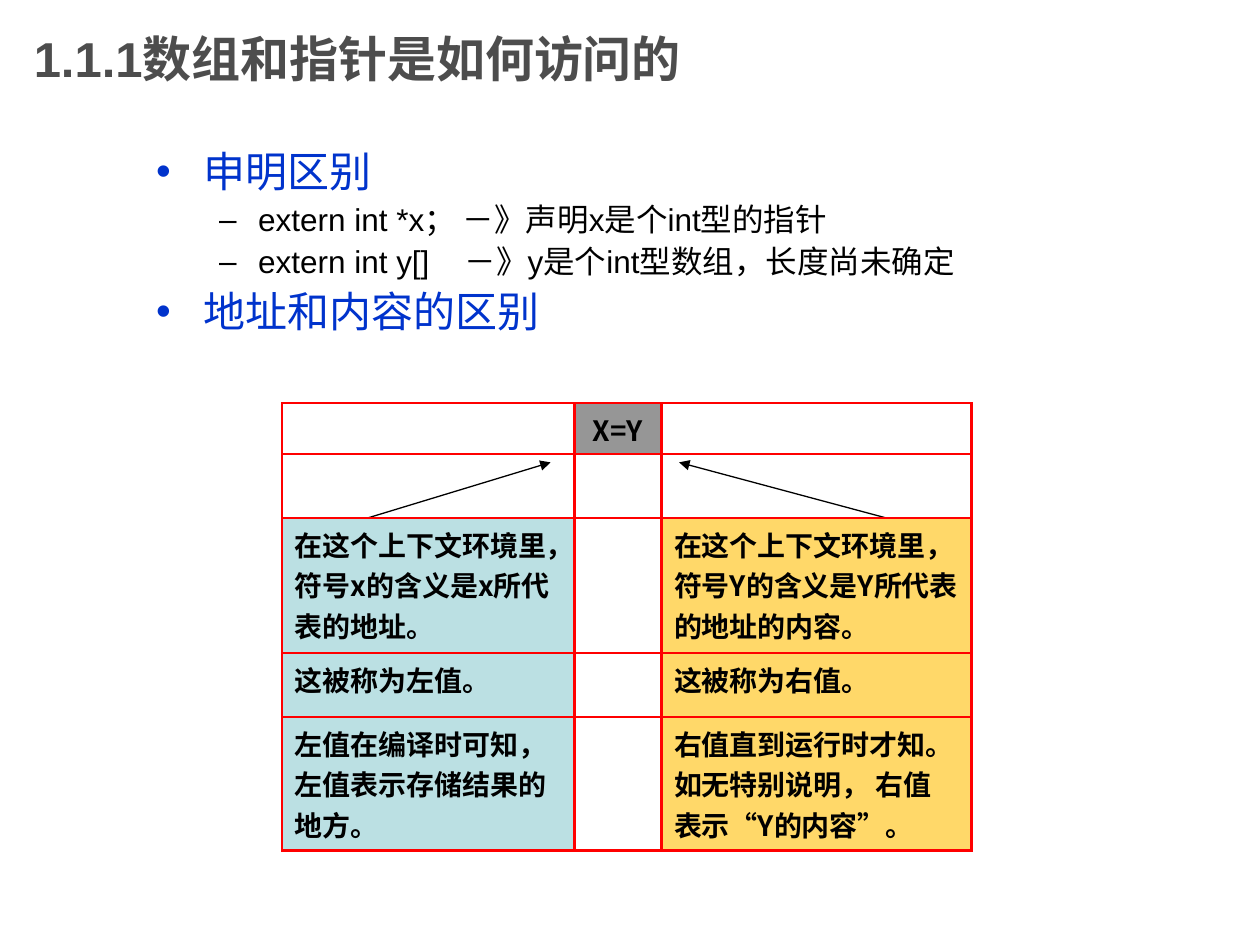
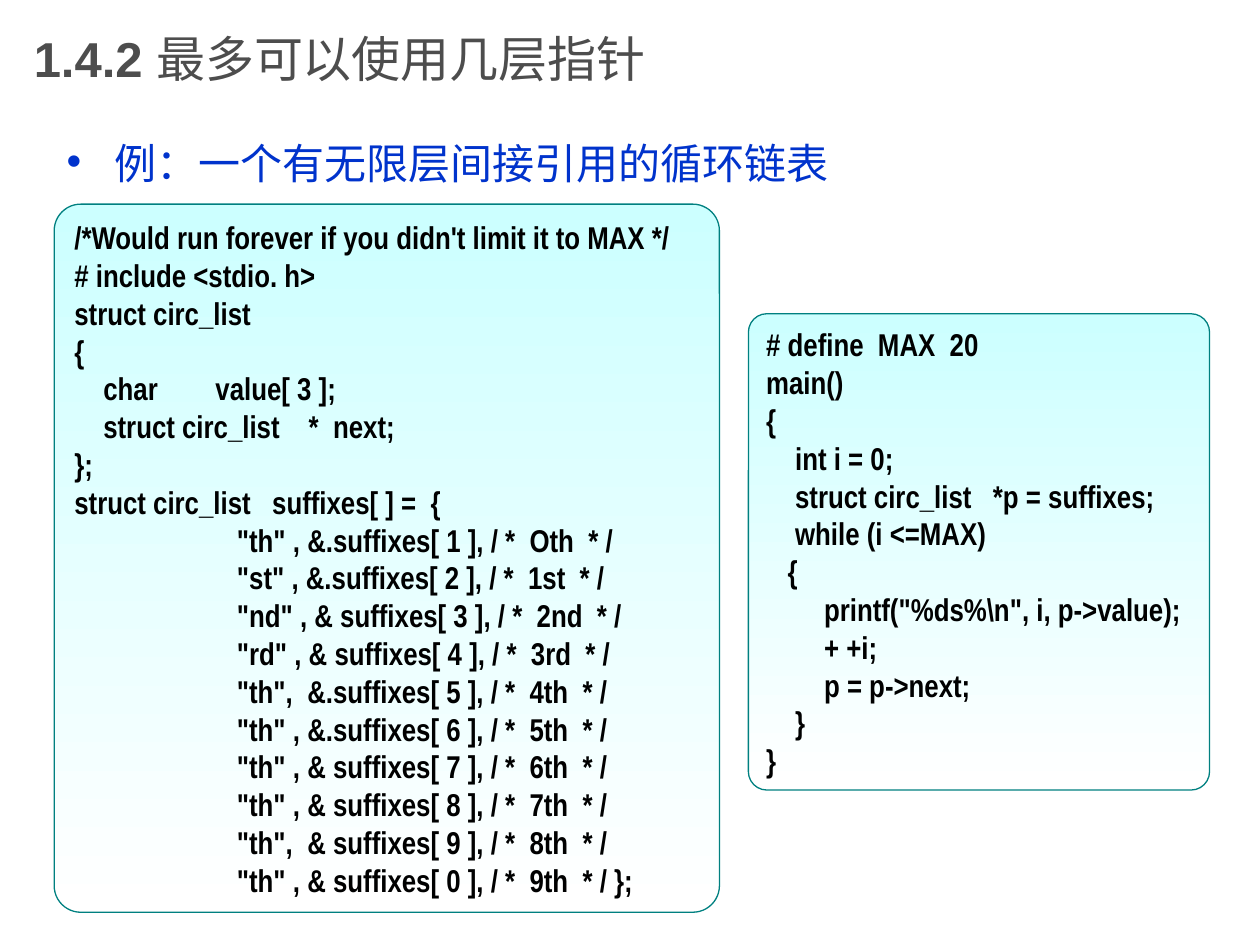
from dataclasses import dataclass

from lxml.etree import SubElement
from pptx import Presentation
from pptx.dml.color import RGBColor
from pptx.enum.shapes import MSO_CONNECTOR as Connector, MSO_SHAPE as Shape
from pptx.enum.text import MSO_ANCHOR as Anchor, PP_ALIGN as Align
from pptx.oxml.ns import qn
from pptx.util import Inches, Pt

COLUMNS, ROWS = 100, 75


@dataclass(frozen=True)
class Theme:
    title: str = "4D4D4D"
    accent: str = "0033CC"
    ink: str = "000000"
    grid: str = "FF0000"
    operator: str = "969696"
    left_value: str = "BBE0E3"
    right_value: str = "FFD869"
    code_top: str = "CCFFFF"
    code_bottom: str = "FFFFFF"
    code_edge: str = "008080"
    latin: str = "Arial"
    narrow: str = "Arial Narrow"
    cjk: str = "Noto Sans CJK SC"
    title_size: int = 28
    topic_size: int = 24
    text_size: int = 18
    cell_size: int = 16
    thin: float = 0.75
    border: float = 1.47
    corner: float = 0.04


THEME = Theme()


def rgb(code):
    return RGBColor.from_string(code)


def write(paragraph, text, size=THEME.text_size, color=THEME.ink, font=THEME.latin,
          bold=False, spacing=0):
    """Add one run; spacing is extra room after each character, in points."""
    run = paragraph.add_run()
    run.text = text
    run.font.size, run.font.bold, run.font.name = Pt(size), bold, font
    run.font.color.rgb = rgb(color)
    properties = run.font._element
    SubElement(properties, qn("a:ea"), typeface=THEME.cjk)
    if spacing:
        properties.set("spc", str(spacing * 100))


def paragraphs(frame, count):
    """Yield the frame's first paragraph, then new ones, count in all."""
    for index in range(count):
        yield frame.add_paragraph() if index else frame.paragraphs[0]


class Deck:
    def __init__(self, theme):
        self.theme = theme
        self.show = Presentation()
        self.show.slide_width, self.show.slide_height = Inches(10), Inches(7.5)
        self.slide = None

    def x(self, columns):
        return round(self.show.slide_width * columns / COLUMNS)

    def y(self, rows):
        return round(self.show.slide_height * rows / ROWS)

    def box(self, left, top, width, height):
        return self.x(left), self.y(top), self.x(width), self.y(height)

    def text_frame(self, *area):
        frame = self.slide.shapes.add_textbox(*self.box(*area)).text_frame
        frame.word_wrap = True
        return frame

    def new_slide(self, number, heading, bold_heading):
        self.slide = self.show.slides.add_slide(self.show.slide_layouts[6])
        frame = self.text_frame(1.7, 0, 75, 9.2)
        frame.vertical_anchor = Anchor.MIDDLE
        for part, bold in ((number, True), (heading, bold_heading)):
            write(frame.paragraphs[0], part, self.theme.title_size,
                  self.theme.title, bold=bold)

    def outline(self, area, items, line_spacing, topic_gap):
        """Items are (level, runs); a run is (text, extra spacing)."""
        theme = self.theme
        levels = (("•", 3.8, -3.8, theme.topic_size, theme.accent, topic_gap),
                  ("–", 8.1, -3.1, theme.text_size, theme.ink, 4.5))
        frame = self.text_frame(*area)
        for paragraph, (level, runs) in zip(paragraphs(frame, len(items)), items):
            mark, margin, hang, size, color, gap = levels[level]
            paragraph.line_spacing = line_spacing
            paragraph.space_before = Pt(gap)
            properties = paragraph._p.get_or_add_pPr()
            properties.set("marL", str(self.x(margin)))
            properties.set("indent", str(self.x(hang)))
            SubElement(SubElement(properties, qn("a:buClr")), qn("a:srgbClr"), val=color)
            SubElement(properties, qn("a:buFont"), typeface=theme.latin)
            SubElement(properties, qn("a:buChar"), char=mark)
            for text, spacing in runs:
                write(paragraph, text, size, color, spacing=spacing)

    def arrow(self, start, end):
        line = self.slide.shapes.add_connector(
            Connector.STRAIGHT, self.x(start[0]), self.y(start[1]),
            self.x(end[0]), self.y(end[1]))
        line.line.color.rgb = rgb(self.theme.ink)
        line.line.width = Pt(self.theme.thin)
        SubElement(line.line._get_or_add_ln(), qn("a:tailEnd"), type="triangle")
        SubElement(line._element.spPr, qn("a:effectLst"))

    def table(self, left, top, widths, heights, contents, fills):
        """Contents and fills map (row, column) to a text and a colour."""
        table = self.slide.shapes.add_table(
            len(heights), len(widths),
            *self.box(left, top, sum(widths), sum(heights))).table
        table.first_row = table.horz_banding = False
        for column, width in zip(table.columns, widths):
            column.width = self.x(width)
        for r, height in enumerate(heights):
            table.rows[r].height = self.y(height)
            for c in range(len(widths)):
                cell = table.cell(r, c)
                self.border(cell)
                if (r, c) not in contents:
                    cell.fill.background()
                    continue
                cell.fill.solid()
                cell.fill.fore_color.rgb = rgb(fills[c])
                paragraph = cell.text_frame.paragraphs[0]
                paragraph.alignment = Align.LEFT if r else Align.CENTER
                write(paragraph, contents[r, c], self.theme.cell_size,
                      font=self.theme.cjk, bold=True)

    def border(self, cell):
        properties = cell._tc.get_or_add_tcPr()
        for side in ("a:lnL", "a:lnR", "a:lnT", "a:lnB"):
            edge = SubElement(properties, qn(side), w=str(Pt(self.theme.border)))
            fill = SubElement(edge, qn("a:solidFill"))
            SubElement(fill, qn("a:srgbClr"), val=self.theme.grid)

    def code(self, area, lines):
        """Lines are (text, *tab stops), the stops in columns."""
        theme = self.theme
        panel = self.slide.shapes.add_shape(Shape.ROUNDED_RECTANGLE, *self.box(*area))
        panel.shadow.inherit = False
        panel.adjustments[0] = theme.corner
        panel.fill.gradient()
        panel.fill.gradient_angle = 270
        for stop, place, color in zip(panel.fill.gradient_stops, (0, 1),
                                      (theme.code_top, theme.code_bottom)):
            stop.position, stop.color.rgb = place, rgb(color)
        panel.line.color.rgb = rgb(theme.code_edge)
        panel.line.width = Pt(theme.thin)
        frame = panel.text_frame
        frame.word_wrap, frame.vertical_anchor = True, Anchor.TOP
        for paragraph, (text, *stops) in zip(paragraphs(frame, len(lines)), lines):
            paragraph.alignment = Align.LEFT
            if stops:
                tabs = SubElement(paragraph._p.get_or_add_pPr(), qn("a:tabLst"))
                for stop in stops:
                    SubElement(tabs, qn("a:tab"), pos=str(self.x(stop)), algn="l")
            write(paragraph, text, font=theme.narrow, bold=True)


def access_slide(deck):
    deck.new_slide("1.1.1", "数组和指针是如何访问的", bold_heading=True)
    deck.outline((11.4, 11.5, 85, 17.3), (
        (0, [("申明区别", 0)]),
        (1, [("extern int *x； －》声明x是个int型的指针", 0)]),
        (1, [("extern int y[]", 0), (" ", 15),
             ("－》y是个int型数组，长度尚未确定", 0)]),
        (0, [("地址和内容的区别", 0)]),
    ), line_spacing=0.9, topic_gap=6)
    deck.arrow((25.6, 42.2), (43.7, 36.7))
    deck.arrow((74.4, 42.2), (53.9, 36.7))
    contents = {
        (0, 1): "X=Y",
        (2, 0): "在这个上下文环境里，符号x的含义是x所代表的地址。",
        (2, 2): "在这个上下文环境里，符号Y的含义是Y所代表的地址的内容。",
        (3, 0): "这被称为左值。",
        (3, 2): "这被称为右值。",
        (4, 0): "左值在编译时可知，左值表示存储结果的地方。",
        (4, 2): "右值直到运行时才知。如无特别说明， 右值表示“Y的内容”。",
    }
    theme = deck.theme
    deck.table(22.4, 32, (23.2, 6.9, 24.6), (4, 5.1, 10.7, 5.1, 10.6), contents,
               (theme.left_value, theme.operator, theme.right_value))


def circular_list_slide(deck):
    deck.new_slide("1.4.2 ", "最多可以使用几层指针", bold_heading=False)
    deck.outline((4.3, 11.5, 90.6, 3.9),
                 ((0, [("例：一个有无限层间接引用的循环链表", 0)]),),
                 line_spacing=0.7, topic_gap=3.5)
    step, entry = 2.3, 12.9
    suffixes = (
        '"th" , &.suffixes[ 1 ], / *  Oth  * /',
        '"st" , &.suffixes[ 2 ], / *  1st  * /',
        '"nd" , & suffixes[ 3 ], / *  2nd  * /',
        '"rd" , & suffixes[ 4 ], / *  3rd  * /',
        '"th",  &.suffixes[ 5 ], / *  4th  * /',
        '"th" , &.suffixes[ 6 ], / *  5th  * /',
        '"th" , & suffixes[ 7 ], / *  6th  * /',
        '"th" , & suffixes[ 8 ], / *  7th  * /',
        '"th",  & suffixes[ 9 ], / *  8th  * /',
        '"th" , & suffixes[ 0 ], / *  9th  * / };',
    )
    deck.code((4.3, 16.2, 52.8, 56.2), (
        ("/*Would run forever if you didn't limit it to MAX */",),
        ("# include <stdio. h>",),
        ("struct circ_list",),
        ("{",),
        ("\tchar\tvalue[ 3 ];", step, 11.2),
        ("\tstruct circ_list\t*  next;", step, 18.6),
        ("};",),
        ("struct circ_list\tsuffixes[ ] =  {", 15.7),
        *(("\t" + suffix, entry) for suffix in suffixes),
    ))
    deck.code((59.4, 24.9, 36.6, 37.8), (
        ("# define  MAX  20",),
        ("main()",),
        ("{",),
        ("\tint i = 0;", step),
        ("\tstruct circ_list\t*p = suffixes;", step, 18),
        ("\twhile (i <=MAX)", step),
        ("\t{", 1.7),
        ('\tprintf("%ds%\\n", i, p->value);', 2 * step),
        ("\t+ +i;", 2 * step),
        ("\tp = p->next;", 2 * step),
        ("\t}", step),
        ("}",),
    ))


def main():
    deck = Deck(THEME)
    access_slide(deck)
    circular_list_slide(deck)
    deck.show.save("out.pptx")


if __name__ == "__main__":
    main()
